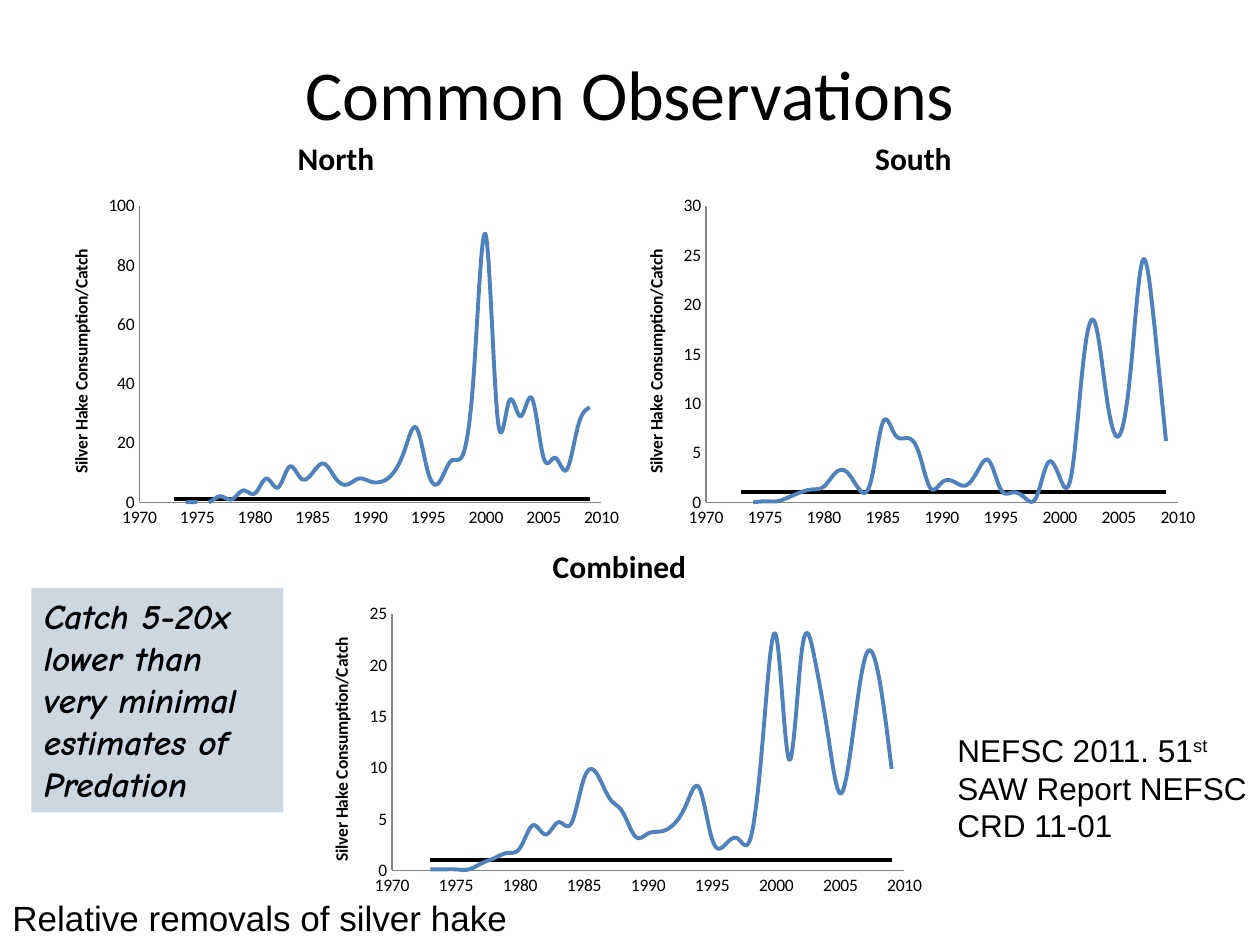
"""Build the slide comparing silver hake consumption with catch by region."""
from lxml import etree
from pptx import Presentation
from pptx import util as u
from pptx.chart.data import XyChartData
from pptx.dml.color import RGBColor
from pptx.enum import chart as charts, shapes, text
from pptx.oxml import ns

Pt = u.Pt
COLORS = {"text": "000000", "ratio": "4F81BD", "parity": "000000", "axis": "868686", "callout": "1F497D"}
YEARS = range(1973, 2010)
NORTH = [0, 0, 0, 0, 2, 1, 4, 3, 8, 5, 12, 8, 10, 13, 8, 6, 8, 7, 7, 10, 18, 25, 10,
         7, 14, 16, 46, 90, 29, 34, 29, 35, 15, 15, 11, 26, 32]
SOUTH = [0, 0, 0.1, 0.1, 0.5, 1, 1.3, 1.6, 3, 3, 1.3, 2.2, 8.1, 6.9, 6.5, 5.2, 1.5, 2, 2.1, 1.7, 3.1, 4.2,
         1.3, 1, 0.5, 0.5, 4, 2.5, 2.9, 14.3, 18.1, 10.4, 6.7, 13.3, 24.4, 18.1, 6.2]
COMBINED = [0.1, 0.1, 0.1, 0.1, 0.7, 1.2, 1.7, 2.2, 4.4, 3.5, 4.7, 4.6, 9, 9.4, 7, 5.7, 3.3, 3.6, 3.8, 4.5,
            6.5, 8, 3, 2.5, 3.1, 3.2, 13.6, 22.8, 10.8, 21.5, 20.6, 13.5, 7.5, 13.5, 21, 18.9, 9.9]
PANELS = [
    ("North", NORTH, (24, 66, 336, 240), 100, 20, (55.7, 51.7, 264, 169.4)),
    ("South", SOUTH, (354, 66, 336, 240), 30, 5, (49.4, 51.7, 269.7, 169.4)),
    ("Combined", COMBINED, (174, 300, 360, 216), 25, 5, (50, 50.9, 292.9, 146.6)),
]


def style(font, size, name, bold=False, italic=False):
    font.size, font.name, font.bold, font.italic = Pt(size), name, bold, italic
    font.color.rgb = RGBColor.from_string(COLORS["text"])


def write(box, pieces, size, name, anchor=text.MSO_ANCHOR.TOP, bold=False, italic=False):
    frame = box.text_frame
    frame.word_wrap = True
    frame.vertical_anchor = anchor
    para = frame.paragraphs[0]
    para.alignment = text.PP_ALIGN.LEFT
    for piece in pieces:
        span = para.add_run()
        span.text = piece
        style(span.font, size, name, bold, italic)
    return para


deck = Presentation()
deck.slide_width, deck.slide_height = Pt(720), Pt(540)
page = deck.slides.add_slide(deck.slide_layouts[6])

title = page.shapes.add_textbox(Pt(36), Pt(21.6), Pt(648), Pt(62.6))
heading = write(title, ["Common Observations"], 40, "Calibri", text.MSO_ANCHOR.MIDDLE)
heading.alignment = text.PP_ALIGN.CENTER

for region, ratios, frame, top, step, plot_area in PANELS:
    data = XyChartData()
    for name, values in (("Series 1", ratios), ("Series 2", [1] * len(YEARS))):
        points = data.add_series(name)
        for year, value in zip(YEARS, values):
            points.add_data_point(year, value)
    chart = page.shapes.add_chart(
        charts.XL_CHART_TYPE.XY_SCATTER_SMOOTH_NO_MARKERS, *map(Pt, frame), data).chart
    style(chart.font, 10, "Calibri")
    chart.has_legend = False
    chart.has_title = True
    chart.chart_title.text_frame.text = region
    style(chart.chart_title.text_frame.paragraphs[0].runs[0].font, 18, "Calibri", True)
    chart.plots[0].vary_by_categories = False

    for series, color in zip(chart.plots[0].series, ("ratio", "parity")):
        series.marker.style = charts.XL_MARKER_STYLE.NONE
        series.format.line.width = Pt(2.25)
        series.format.line.color.rgb = RGBColor.from_string(COLORS[color])
    for smooth in chart.element.findall(".//" + ns.qn("c:smooth")):
        smooth.set("val", "1")

    for axis, low, high, gap in ((chart.category_axis, 1970, 2010, 5), (chart.value_axis, 0, top, step)):
        axis.minimum_scale, axis.maximum_scale, axis.major_unit = low, high, gap
        axis.has_major_gridlines = False
        axis.major_tick_mark = axis.minor_tick_mark = charts.XL_TICK_MARK.NONE
        axis.tick_labels.number_format = "General"
        axis.tick_labels.number_format_is_linked = False
        axis.format.line.width = Pt(0.75)
        axis.format.line.color.rgb = RGBColor.from_string(COLORS["axis"])
    label = chart.value_axis.axis_title.text_frame
    label.text = "Silver Hake Consumption/Catch"
    style(label.paragraphs[0].runs[0].font, 10, "Calibri", True)

    area = chart.element.find(".//" + ns.qn("c:plotArea"))
    for old in area.findall(ns.qn("c:layout")):
        area.remove(old)
    layout = etree.Element(ns.qn("c:layout"))
    area.insert(0, layout)
    manual = etree.SubElement(layout, ns.qn("c:manualLayout"))
    fractions = [length / frame[2 + i % 2] for i, length in enumerate(plot_area)]
    settings = [("layoutTarget", "inner"), ("xMode", "edge"), ("yMode", "edge"), *zip("xywh", fractions)]
    for tag, value in settings:
        etree.SubElement(manual, ns.qn("c:" + tag), val=str(value))

citation = page.shapes.add_textbox(Pt(540), Pt(414), Pt(180), Pt(72.7))
reference = write(citation, ["NEFSC 2011. 51", "st", " SAW Report NEFSC CRD 11-01"], 18, "Arial")
reference.runs[1].font._element.set("baseline", "30000")

callout = page.shapes.add_shape(shapes.MSO_SHAPE.RECTANGLE, Pt(18), Pt(336), Pt(144), Pt(128.2))
callout.shadow.inherit = False
callout.line.fill.background()
callout.fill.solid()
callout.fill.fore_color.rgb = RGBColor.from_string(COLORS["callout"])
tint = callout.element.spPr.find(".//" + ns.qn("a:srgbClr"))
etree.SubElement(tint, ns.qn("a:alpha"), val="22000")
write(callout, ["Catch 5-20x lower than very minimal estimates of Predation"], 20, "Comic Neue",
      bold=True, italic=True)

caption = page.shapes.add_textbox(Pt(0), Pt(508.5), Pt(330), Pt(31.5))
write(caption, ["Relative removals of silver hake"], 20, "Arial", text.MSO_ANCHOR.MIDDLE)

deck.save("out.pptx")
